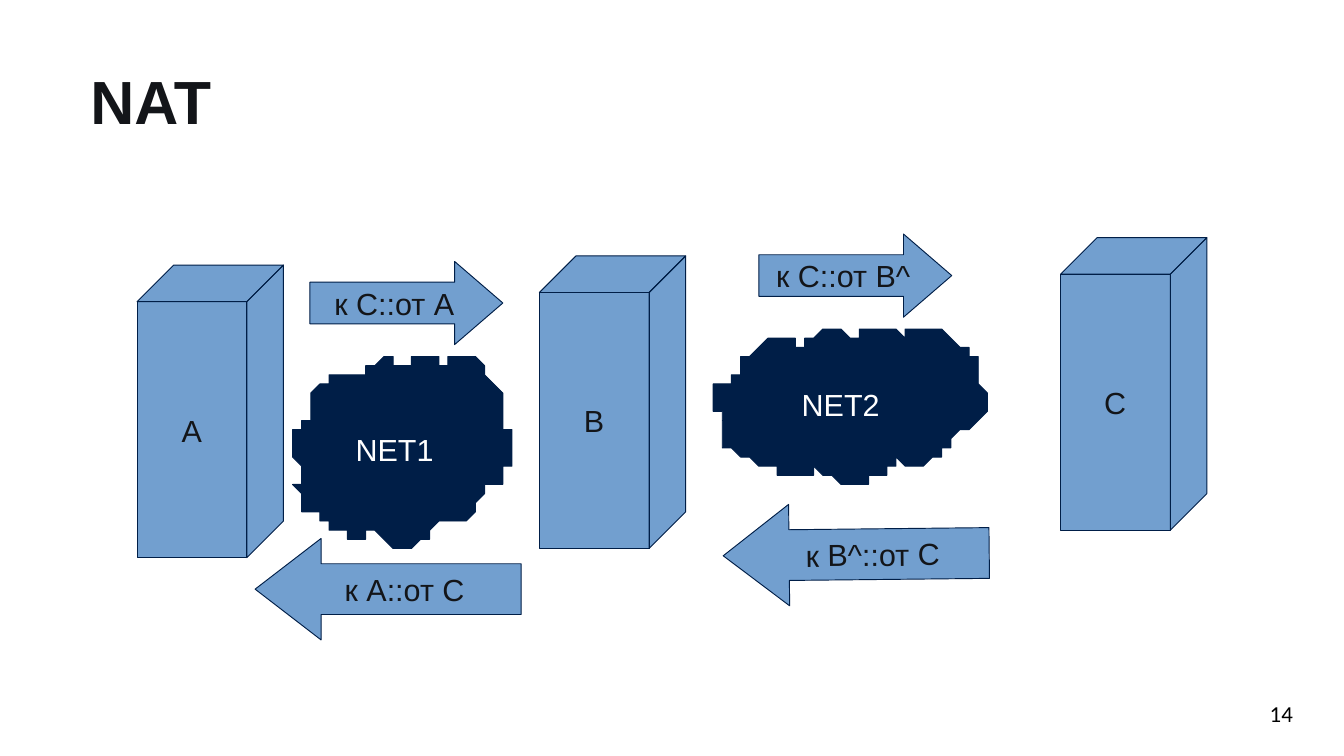
from pptx import Presentation
from pptx.dml.color import RGBColor
from pptx.enum.shapes import MSO_SHAPE
from pptx.enum.text import MSO_ANCHOR, PP_ALIGN
from pptx.util import Inches, Pt

COLORS = {"node": "729FCF", "navy": "001E47", "ink": "131519",
          "white": "FFFFFF", "black": "000000"}
SLIDE_WIDTH, SLIDE_HEIGHT = 14.7, 8.27
CELL = 0.1  # inches per grid column and row
HOST_WIDTH, HOST_HEIGHT, HOST_DEPTH = 16.05, 32.3, 4.05
INSETS = (1.3, 0.7, 1.3, 0.7)

# Cloud contour on a 301 x 171 field: a start, then three points per lobe.
CLOUD_FIELD = (301, 171)
CLOUD_START = (27, 57)
CLOUD_LOBES = [
    ((21, 36), (47, 16), (73, 16)), ((82, 16), (90, 18), (97, 21)),
    ((104, 11), (116, 5), (130, 5)), ((139, 6), (149, 8), (156, 14)),
    ((161, 5), (172, 0), (183, 0)), ((193, 0), (202, 4), (207, 9)),
    ((214, 4), (223, 0), (233, 0)), ((249, 0), (263, 9), (266, 22)),
    ((282, 25), (293, 36), (293, 49)), ((293, 53), (292, 57), (290, 61)),
    ((297, 67), (301, 75), (301, 83)), ((301, 101), (283, 117), (260, 119)),
    ((260, 137), (242, 150), (220, 150)), ((212, 150), (205, 149), (198, 145)),
    ((192, 161), (174, 172), (153, 172)), ((138, 172), (123, 165), (114, 155)),
    ((106, 159), (110, 161), (87, 161)), ((68, 161), (50, 153), (40, 140)),
    ((18, 140), (7, 129), (7, 116)), ((7, 110), (10, 105), (15, 100)),
    ((5, 97), (0, 89), (0, 80)), ((0, 68), (12, 58), (27, 57)),
]


def cells(count):
    return Inches(count * CELL)


def rgb(name):
    return RGBColor.from_string(COLORS[name])


def write(shape, text, *, size=24, font="Arial", color="ink", bold=False,
          align=PP_ALIGN.CENTER, anchor=MSO_ANCHOR.MIDDLE, wrap=False,
          insets=INSETS, spacing=None):
    """Fill a shape with one formatted line; insets are in cells."""
    frame = shape.text_frame
    frame.word_wrap = wrap
    frame.vertical_anchor = anchor
    (frame.margin_left, frame.margin_top,
     frame.margin_right, frame.margin_bottom) = map(cells, insets)
    paragraph = frame.paragraphs[0]
    paragraph.alignment = align
    if spacing:
        paragraph.line_spacing = spacing
    run = paragraph.add_run()
    run.text = text
    run.font.size = Pt(size)
    run.font.name = font
    run.font.bold = bold
    run.font.color.rgb = rgb(color)


def paint(shape, fill):
    shape.shadow.inherit = False
    shape.fill.solid()
    shape.fill.fore_color.rgb = rgb(fill)
    shape.line.color.rgb = rgb("navy")
    shape.line.width = Pt(0)


def outline(slide, contours):
    """Build one freeform from closed contours given in cells."""
    builder = None
    for start, *rest in contours:
        if builder is None:
            builder = slide.shapes.build_freeform(*start, scale=Inches(CELL))
        else:
            builder.move_to(*start)
        builder.add_line_segments(rest, close=True)
    return builder.convert_to_shape()


def add_host(slide, name, left, top):
    """Draw a box with its front, top and side faces in one flat colour."""
    right, bottom = left + HOST_WIDTH, top + HOST_HEIGHT
    front_right, front_top = right - HOST_DEPTH, top + HOST_DEPTH
    front = [(left, front_top), (front_right, front_top),
             (front_right, bottom), (left, bottom)]
    lid = [(left, front_top), (left + HOST_DEPTH, top),
           (right, top), (front_right, front_top)]
    side = [(front_right, front_top), (right, top),
            (right, bottom - HOST_DEPTH), (front_right, bottom)]
    host = outline(slide, [front, lid, side])
    paint(host, "node")
    write(host, name, insets=(1.3, 0.7 + HOST_DEPTH, 1.3 + HOST_DEPTH, 0.7))


def cloud_contour(steps=8):
    """Sample the lobes as cubic curves."""
    points = [CLOUD_START]
    for first, second, end in CLOUD_LOBES:
        start = points[-1]
        for step in range(1, steps + 1):
            t = step / steps
            u = 1 - t
            points.append(tuple(
                u**3 * a + 3 * u**2 * t * b + 3 * u * t**2 * c + t**3 * d
                for a, b, c, d in zip(start, first, second, end)))
    return points


def add_network(slide, name, left, top, width, height):
    field_width, field_height = CLOUD_FIELD
    cloud = outline(slide, [[(left + x * width / field_width,
                              top + y * height / field_height)
                             for x, y in cloud_contour()]])
    paint(cloud, "navy")
    write(cloud, name, color="white",
          insets=(1.3, 0.7, 1.3 + 0.07 * width, 0.7 + 0.03 * height))


def add_packet(slide, label, direction, left, top, width, height, head,
               rotation=0):
    """Draw a block arrow; head is its length as a share of the height."""
    arrow = slide.shapes.add_shape(
        direction, *map(cells, (left, top, width, height)))
    arrow.adjustments[0] = 0.5
    arrow.adjustments[1] = head
    arrow.rotation = rotation
    paint(arrow, "node")
    write(arrow, label)


def add_text(slide, text, left, top, width, height, **text_format):
    box = slide.shapes.add_textbox(*map(cells, (left, top, width, height)))
    write(box, text, wrap=True, insets=(1, 0.5, 1, 0.5), **text_format)


def main():
    deck = Presentation()
    deck.slide_width = Inches(SLIDE_WIDTH)
    deck.slide_height = Inches(SLIDE_HEIGHT)
    slide = deck.slides.add_slide(deck.slide_layouts[6])

    for name, left, top in [("A", 14.8, 28.6), ("B", 59, 27.6),
                            ("C", 116.1, 25.6)]:
        add_host(slide, name, left, top)

    add_network(slide, "NET1", 31.9, 38.7, 24.1, 21.2)
    add_network(slide, "NET2", 78, 35.7, 30.1, 17.1)

    request = {"direction": MSO_SHAPE.RIGHT_ARROW,
               "width": 21.1, "height": 9.1, "head": 0.58}
    reply = {"direction": MSO_SHAPE.LEFT_ARROW,
             "width": 29.1, "height": 11.1, "head": 0.65}
    add_packet(slide, "к C::от A", left=33.9, top=28.6, **request)
    add_packet(slide, "к C::от B^", left=83, top=25.6, **request)
    add_packet(slide, "к B^::от C", left=79.1, top=55.1, rotation=359.4,
               **reply)
    add_packet(slide, "к A::от C", left=27.9, top=58.9, **reply)

    add_text(slide, "NAT", 8.9, 7.4, 132.3, 18.4, size=48, bold=True,
             align=PP_ALIGN.LEFT, anchor=MSO_ANCHOR.TOP, spacing=0.9)
    add_text(slide, "14", 129.8, 75.8, 12.6, 4.4, size=18, font="Calibri",
             color="black", align=PP_ALIGN.RIGHT)

    deck.save("out.pptx")


if __name__ == "__main__":
    main()
